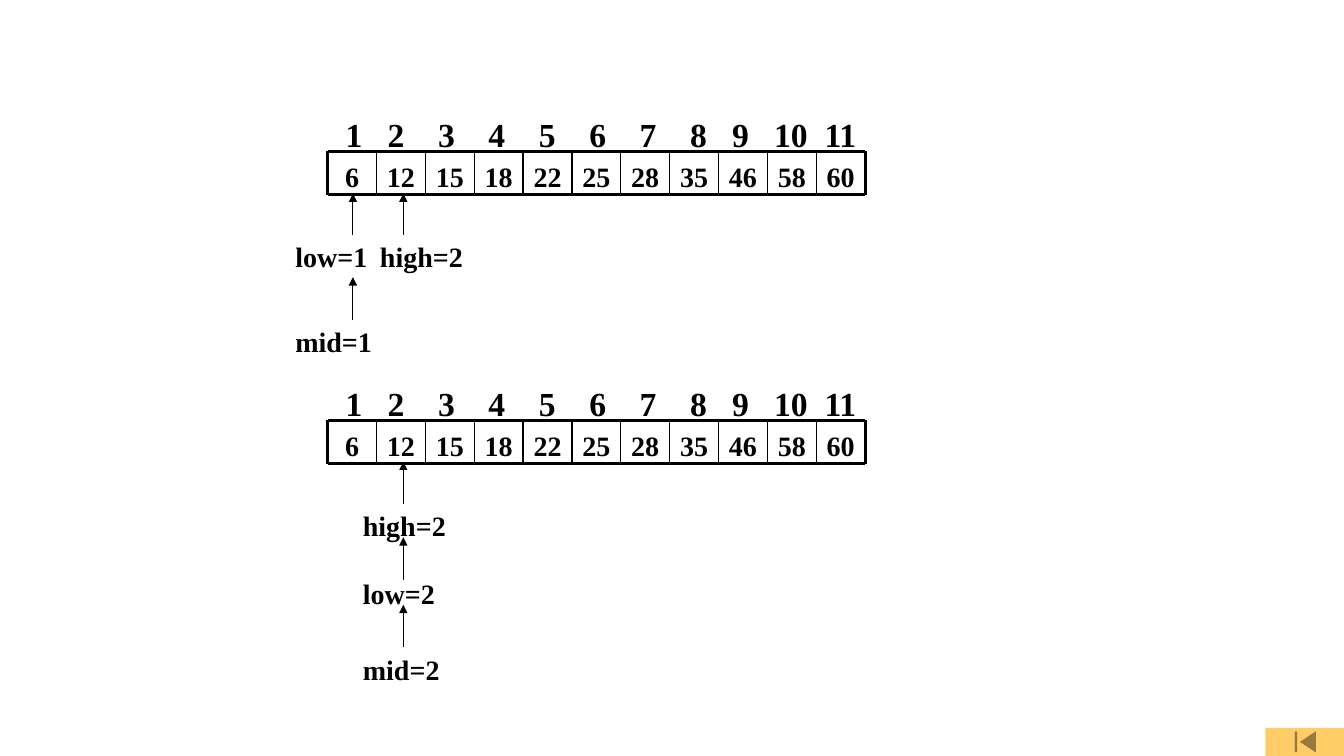
from lxml import etree
from pptx import Presentation
from pptx.dml.color import RGBColor
from pptx.enum.shapes import MSO_CONNECTOR as CONN, MSO_SHAPE as SHAPE
from pptx.enum.text import PP_ALIGN as ALIGN
from pptx.oxml.ns import qn
from pptx.util import Inches, Pt

COLORS = {"ink": "000000", "button": "FFCC66"}
VALUES = [6, 12, 15, 18, 22, 25, 28, 35, 46, 58, 60]
INDEX_STOPS = [18, 48, 84, 120, 156, 192, 228, 264, 294, 324, 360]  # points
ARRAY_LEFT, ARRAY_RIGHT, ROW_HEIGHT = 3.25, 8.58, 0.43
CELL_WIDTH = (ARRAY_RIGHT - ARRAY_LEFT) / len(VALUES)
THICK, THIN, FINE = 2.25, 1, 0.75


class SlideBuilder:
    font = "Times New Roman"

    def __init__(self, s):
        self.s = s

    def color(self, name):
        return RGBColor.from_string(COLORS[name])

    def text(self, x, y, w, h, text, size=20, stops=(), align=ALIGN.LEFT, inset=0.05):
        tf = self.s.shapes.add_textbox(*map(Inches, (x, y, w, h))).text_frame
        tf.word_wrap = True
        tf.margin_top = Inches(inset)
        tf.text = text
        p = tf.paragraphs[0]
        p.alignment = align
        if stops:
            tabs = etree.SubElement(p._p.get_or_add_pPr(), qn("a:tabLst"))
            for stop in stops:
                etree.SubElement(tabs, qn("a:tab"), pos=str(Pt(stop)), algn="l")
        for r in p.runs:
            r.font.name, r.font.size, r.font.bold = self.font, Pt(size), True
            r.font.color.rgb = self.color("ink")

    def line(self, x1, y1, x2, y2, width, arrow=False):
        ends = map(Inches, (x1, y1, x2, y2))
        c = self.s.shapes.add_connector(CONN.STRAIGHT, *ends)
        c.line.width = Pt(width)
        c.line.color.rgb = self.color("ink")
        if arrow:
            etree.SubElement(c.line._get_or_add_ln(), qn("a:tailEnd"), type="triangle")
        etree.SubElement(c._element.spPr, qn("a:effectLst"))

    def array(self, top):
        bottom = top + ROW_HEIGHT
        # Cell values
        for i, value in enumerate(VALUES):
            self.text(ARRAY_LEFT + i * CELL_WIDTH, top, CELL_WIDTH, ROW_HEIGHT,
                      str(value), align=ALIGN.CENTER, inset=0.08)
        # Frame and dividers
        for y in (top, bottom):
            self.line(ARRAY_LEFT, y, ARRAY_RIGHT, y, THICK)
        for i in range(len(VALUES) + 1):
            x = ARRAY_LEFT + i * CELL_WIDTH
            self.line(x, top, x, bottom, THICK if i in (0, len(VALUES)) else THIN)
        # Index numbers above the cells
        indexes = "".join(f"\t{i + 1}" for i in range(len(VALUES)))
        self.text(3.08, top - 0.42, 5.67, 0.5, indexes, 24, INDEX_STOPS)

    def button(self, x, y, w, h):
        sp = self.s.shapes.add_shape(SHAPE.ACTION_BUTTON_BEGINNING, *map(Inches, (x, y, w, h)))
        sp.shadow.inherit = False
        sp.fill.solid()
        sp.fill.fore_color.rgb = self.color("button")
        sp.line.fill.background()


def main():
    prs = Presentation()
    prs.slide_width, prs.slide_height = Inches(13.33), Inches(7.5)
    b = SlideBuilder(prs.slides.add_slide(prs.slide_layouts[6]))

    # Navigation button
    b.button(12.55, 7.22, 0.79, 0.28)

    # The two search steps
    for top in (1.5, 4.17):
        b.array(top)

    # Pointer arrows: x, bottom, top
    for x, bottom, top in [(3.5, 2.33, 1.92), (3.5, 3.17, 2.75), (4, 2.33, 1.92),
                           (4, 5, 4.58), (4, 5.75, 5.33), (4, 6.42, 6)]:
        b.line(x, bottom, x, top, FINE, arrow=True)

    # Pointer labels: x, y, width, text
    for x, y, w, label in [(2.83, 2.33, 0.92, "low=1"), (2.83, 3.17, 1.08, "mid=1"),
                           (3.67, 2.33, 1.08, "high=2"), (3.5, 5, 1.08, "high=2"),
                           (3.5, 5.67, 0.92, "low=2"), (3.5, 6.42, 1.08, "mid=2")]:
        b.text(x, y, w, ROW_HEIGHT, label)

    prs.save("out.pptx")


if __name__ == "__main__":
    main()
